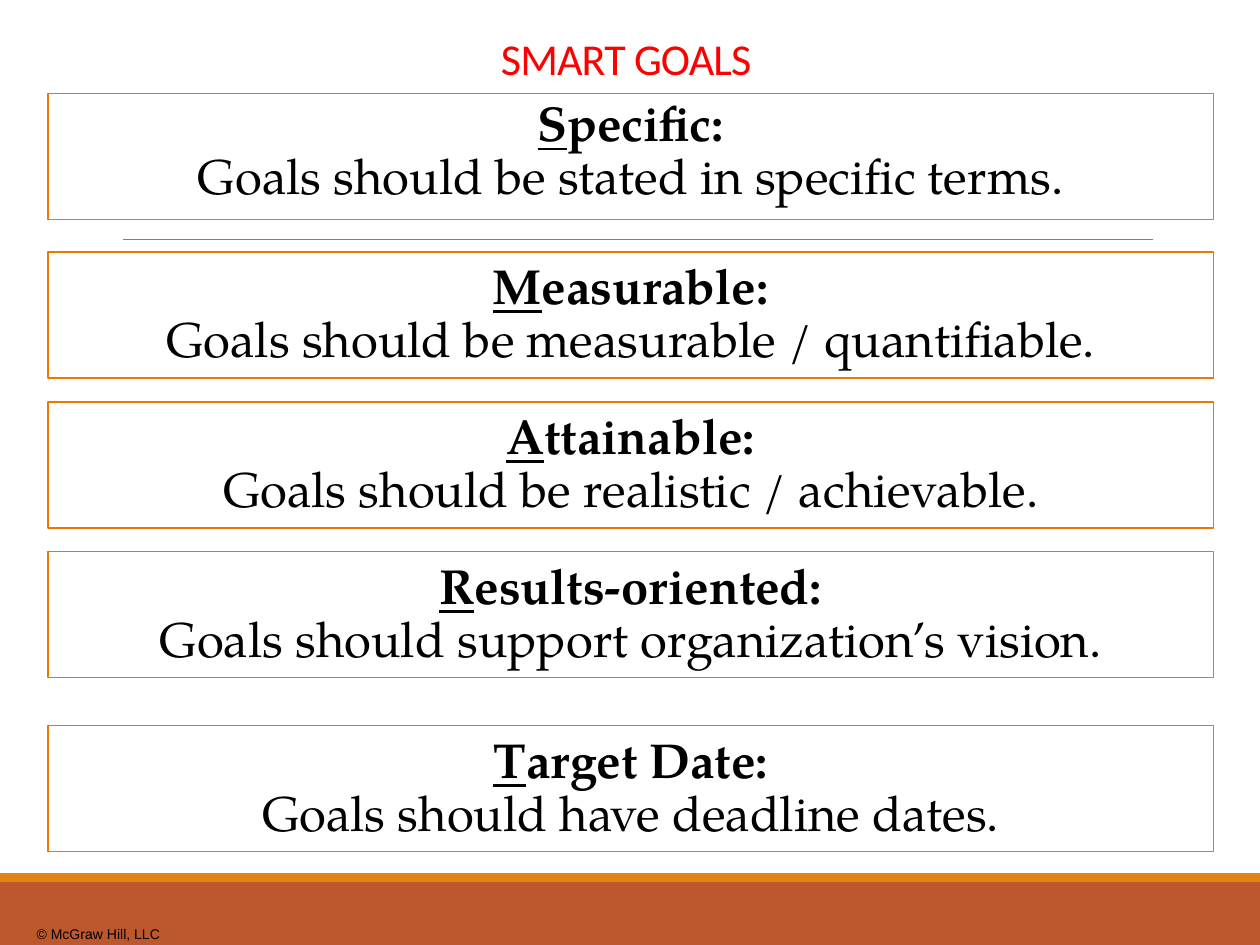
from dataclasses import dataclass

import pptx
import pptx.dml.color
import pptx.enum.shapes
import pptx.enum.text
import pptx.oxml
import pptx.oxml.ns
import pptx.util

Inches = pptx.util.Inches
Pt = pptx.util.Pt
ANCHOR = pptx.enum.text.MSO_ANCHOR
CENTER = pptx.enum.text.PP_ALIGN.CENTER

COLORS = {
    "band": "BD582C",
    "stripe": "E48312",
    "rule": "808080",
    "border": "ED7700",
    "title": "FF0000",
    "text": "000000",
}
BOX_LEFT, BOX_WIDTH, BOX_HEIGHT = 0.38, 9.25, 1


@dataclass
class Goal:
    top: float
    name: str
    meaning: str
    anchor: ANCHOR = ANCHOR.MIDDLE


GOALS = [
    Goal(0.74, "Specific:", "Goals should be stated in specific terms.", ANCHOR.TOP),
    Goal(2, "Measurable:", "Goals should be measurable / quantifiable."),
    Goal(3.19, "Attainable:", "Goals should be realistic / achievable."),
    Goal(4.38, "Results-oriented:", "Goals should support organization’s vision."),
    Goal(5.76, "Target Date:", "Goals should have deadline dates."),
]


def rgb(name: str) -> pptx.dml.color.RGBColor:
    return pptx.dml.color.RGBColor.from_string(COLORS[name])


def add_band(s, top: float, height: float, color: str) -> None:
    sp = s.shapes.add_shape(pptx.enum.shapes.MSO_SHAPE.RECTANGLE,
                            Inches(0), Inches(top), Inches(10), Inches(height))
    sp.shadow.inherit = False
    sp.fill.solid()
    sp.fill.fore_color.rgb = rgb(color)
    sp.line.fill.background()


def add_rule(s, left: float, right: float, y: float) -> None:
    ln = s.shapes.add_connector(pptx.enum.shapes.MSO_CONNECTOR.STRAIGHT,
                                Inches(left), Inches(y), Inches(right), Inches(y))
    ln.line.color.rgb = rgb("rule")
    ln.line.width = Pt(0.5)
    ln._element.spPr.append(pptx.oxml.parse_xml(
        f'<a:effectLst {pptx.oxml.ns.nsdecls("a")}/>'))


def add_text_box(s, left: float, top: float, width: float, height: float,
                 margin_x: float, anchor: ANCHOR = ANCHOR.MIDDLE):
    sp = s.shapes.add_textbox(Inches(left), Inches(top), Inches(width), Inches(height))
    tf = sp.text_frame
    tf.word_wrap = True
    tf.vertical_anchor = anchor
    tf.margin_left = tf.margin_right = Inches(margin_x)
    tf.margin_top = tf.margin_bottom = Inches(0.05)
    return sp


def add_run(p, text: str, font: str, size: float, color: str = "text",
            bold: bool = False, underline: bool = False):
    r = p.add_run()
    r.text = text
    r.font.name = font
    r.font.size = Pt(size)
    r.font.bold = bold
    r.font.underline = underline
    r.font.color.rgb = rgb(color)
    return r


def add_title(s, text: str) -> None:
    sp = add_text_box(s, BOX_LEFT, 0.33, BOX_WIDTH, 0.33, 0.1)
    p = sp.text_frame.paragraphs[0]
    p.alignment = CENTER
    p.line_spacing = 0.85
    r = add_run(p, text, "Calibri", 25.2, "title")
    r.font._element.set("spc", "-50")


def add_goal(s, goal: Goal) -> None:
    """Draw a bordered box whose goal name has its initial underlined."""
    sp = add_text_box(s, BOX_LEFT, goal.top, BOX_WIDTH, BOX_HEIGHT, 0, goal.anchor)
    sp.line.color.rgb = rgb("border")
    sp.line.width = Pt(0.75)
    p = sp.text_frame.paragraphs[0]
    p.alignment = CENTER
    p.line_spacing = 0.9
    p.space_after = Pt(2)
    font, size = "TeX Gyre Pagella", 28
    add_run(p, goal.name[0], font, size, bold=True, underline=True)
    add_run(p, goal.name[1:], font, size, bold=True)
    p.add_line_break()
    add_run(p, goal.meaning, font, size)


def main() -> None:
    prs = pptx.Presentation()
    prs.slide_width, prs.slide_height = Inches(10), Inches(7.5)
    s = prs.slides.add_slide(prs.slide_layouts[6])

    add_band(s, 7, 0.5, "band")
    add_band(s, 6.93, 0.07, "stripe")
    add_rule(s, 0.98, 9.15, 1.9)
    footer = add_text_box(s, 0.24, 7.29, 1.35, 0.24, 0.05)
    add_run(footer.text_frame.paragraphs[0], "© McGraw Hill, LLC", "Arial", 8)

    add_title(s, "SMART GOALS ")
    for goal in GOALS:
        add_goal(s, goal)
    prs.save("out.pptx")


if __name__ == "__main__":
    main()
